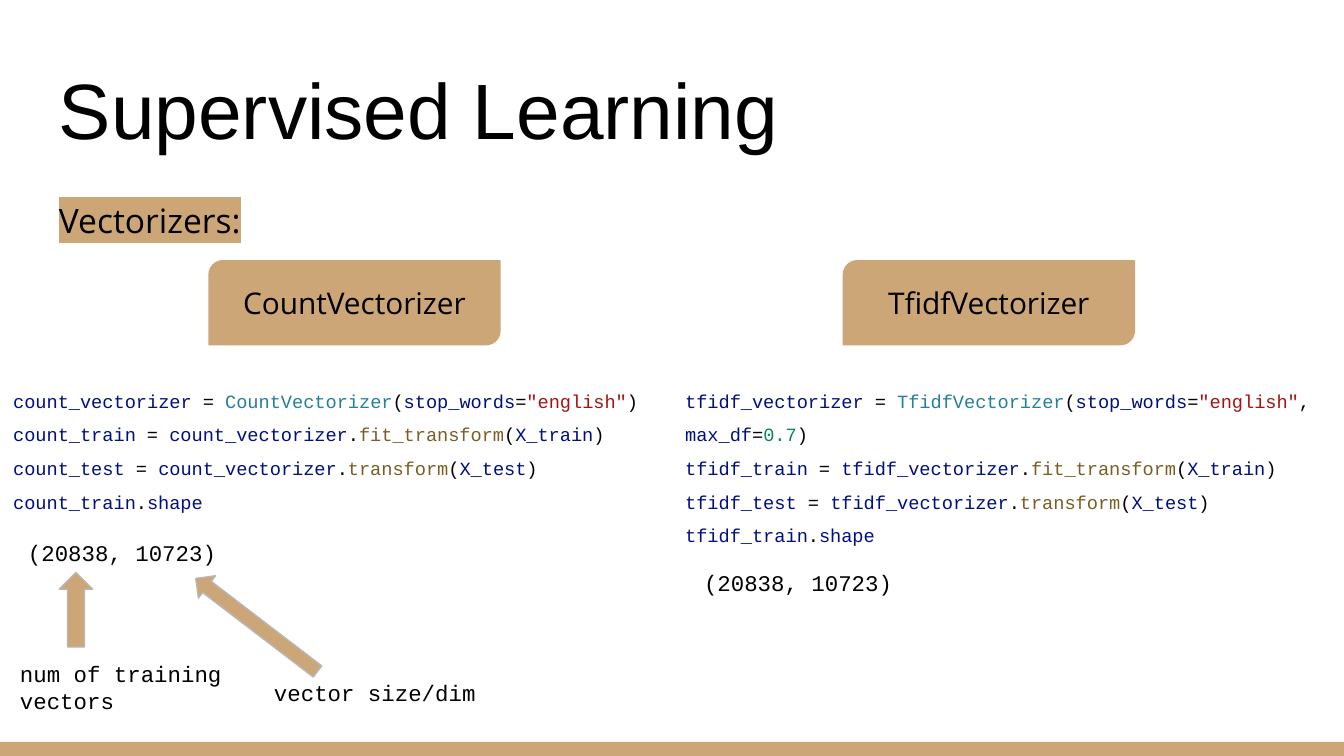
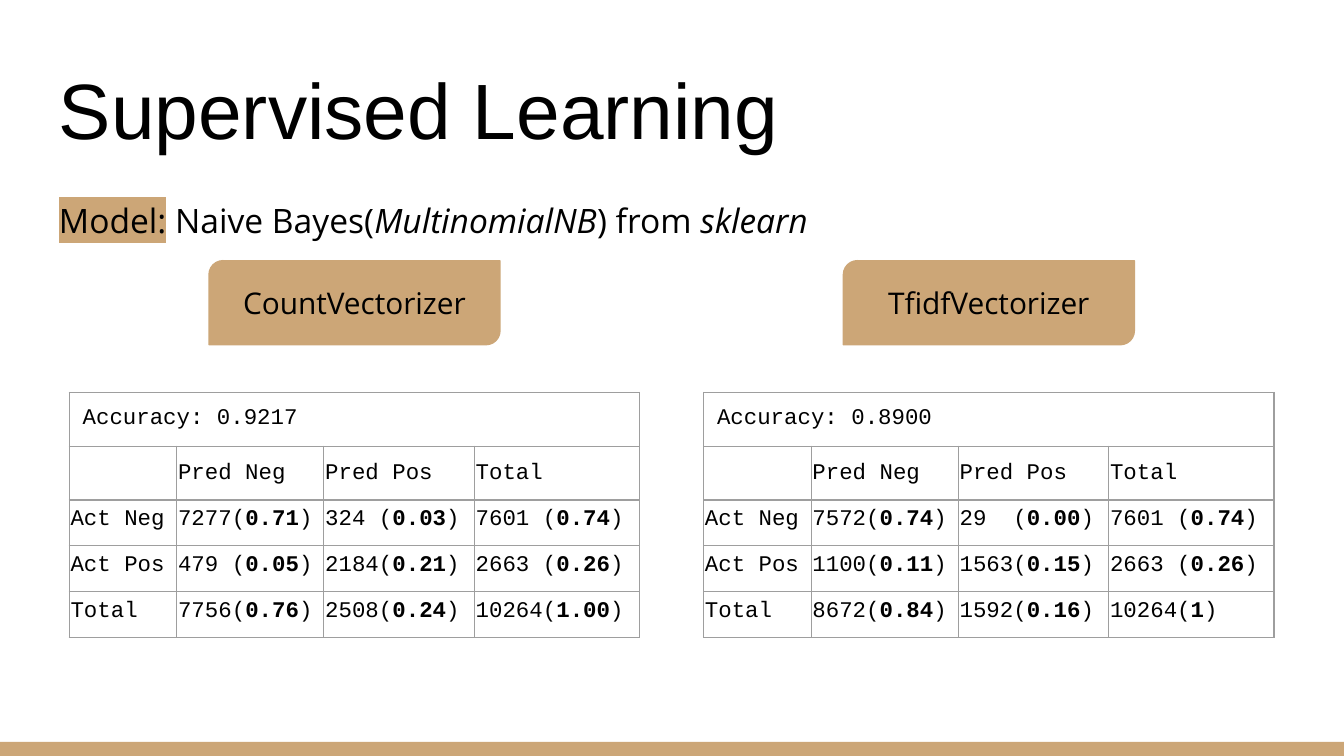
from lxml.etree import SubElement
from pptx import Presentation
from pptx.dml.color import RGBColor
from pptx.enum.shapes import MSO_SHAPE
from pptx.enum.text import MSO_ANCHOR, PP_ALIGN
from pptx.oxml.ns import qn
from pptx.util import Pt

PX = 4572

TAN = RGBColor(0xCC, 0xA6, 0x77)
BLACK = RGBColor(0x00, 0x00, 0x00)
ARROW_LINE = RGBColor(0xB7, 0xB7, 0xB7)
GRID = RGBColor(0x9E, 0x9E, 0x9E)
NAME = RGBColor(0x00, 0x10, 0x80)
CLASS = RGBColor(0x26, 0x7F, 0x99)
STRING = RGBColor(0xA3, 0x15, 0x15)
METHOD = RGBColor(0x79, 0x5E, 0x26)
NUMBER = RGBColor(0x09, 0x86, 0x58)

SANS = "Open Sans"
MONO = "Courier New"


def write(frame, lines, font, size, spacing=1.0):
    for index, spans in enumerate(lines):
        para = frame.paragraphs[0] if index == 0 else frame.add_paragraph()
        para.line_spacing = spacing
        para.font.name = font
        para.font.size = Pt(size)
        para.font.color.rgb = BLACK
        for text, style in spans:
            span = para.add_run()
            span.text = text
            if isinstance(style, RGBColor):
                span.font.color.rgb = style
            elif style == "bold":
                span.font.bold = True
            elif style == "italic":
                span.font.italic = True
            elif style == "highlight":
                mark = SubElement(span._r.get_or_add_rPr(), qn("a:highlight"))
                SubElement(mark, qn("a:srgbClr"), val=str(TAN))
        if not spans:
            ending = SubElement(para._p, qn("a:endParaRPr"), sz=str(size * 100))
            SubElement(ending, qn("a:latin"), typeface=font)


def add_text(page, place, lines, font, size, spacing=1.0):
    box = page.shapes.add_textbox(*[length * PX for length in place])
    frame = box.text_frame
    frame.word_wrap = True
    frame.margin_left = frame.margin_right = 20 * PX
    frame.margin_top = frame.margin_bottom = 20 * PX
    write(frame, lines, font, size, spacing)
    return frame


deck = Presentation()
deck.slide_width = 2000 * PX
deck.slide_height = 1125 * PX

subtitles = [
    [("Vectorizers:", "highlight")],
    [("Model:", "highlight"), (" Naive Bayes(", None), ("MultinomialNB", "italic"),
     (") from ", None), ("sklearn", "italic")],
]
pages = []
for subtitle in subtitles:
    page = deck.slides.add_slide(deck.slide_layouts[6])
    pages.append(page)
    band = page.shapes.add_shape(MSO_SHAPE.RECTANGLE, 0, 1104 * PX, 2000 * PX, 21 * PX)
    band.shadow.inherit = False
    band.fill.solid()
    band.fill.fore_color.rgb = TAN
    band.line.fill.background()

    title = add_text(page, (68, 69, 1864, 182), [[("Supervised Learning", None)]], "Arial", 42)
    title.vertical_anchor = MSO_ANCHOR.BOTTOM
    add_text(page, (68, 268, 1242, 102), [subtitle], SANS, 18, 1.15)

    for left, label in [(311, "CountVectorizer"), (1255, "TfidfVectorizer")]:
        tag = page.shapes.add_shape(
            MSO_SHAPE.ROUND_2_DIAG_RECTANGLE, left * PX, 388 * PX, 433 * PX, 125 * PX)
        tag.shadow.inherit = False
        tag.fill.solid()
        tag.fill.fore_color.rgb = TAN
        tag.line.color.rgb = TAN
        tag.line.width = Pt(0.75)
        tag.text_frame.vertical_anchor = MSO_ANCHOR.MIDDLE
        write(tag.text_frame, [[(label, None)]], SANS, 16)
        tag.text_frame.paragraphs[0].alignment = PP_ALIGN.CENTER

code_page, result_page = pages

max_df = [(", ", None), ("max_df", NAME), ("=", None), ("0.7", NUMBER)]
vectorizers = [
    ("count", "CountVectorizer", [], (0, 543, 1006, 200), (22, 782, 332, 82)),
    ("tfidf", "TfidfVectorizer", max_df, (1000, 543, 1006, 270), (1028, 827, 332, 82)),
]
for prefix, class_name, options, code_place, shape_place in vectorizers:
    lines = [[(f"{prefix}_vectorizer", NAME), (" = ", None), (class_name, CLASS), ("(", None),
              ("stop_words", NAME), ("=", None), ('"english"', STRING), *options, (")", None)]]
    for part, method in [("train", "fit_transform"), ("test", "transform")]:
        lines.append([(f"{prefix}_{part}", NAME), (" = ", None), (f"{prefix}_vectorizer", NAME),
                      (".", None), (method, METHOD), ("(", None), (f"X_{part}", NAME), (")", None)])
    lines.append([(f"{prefix}_train", NAME), (".", None), ("shape", NAME)])
    add_text(code_page, code_place, lines, MONO, 10, 1.5)
    add_text(code_page, shape_place, [[("(20838, 10723)", None)]], MONO, 12)

notes = [
    ("num of training vectors", (10, 963, 358, 124), (88, 852, 50, 111), 0),
    ("vector size/dim", (388, 990, 344, 70), (361, 816, 42, 228), 307.4),
]
for note, note_place, arrow_place, angle in notes:
    add_text(code_page, note_place, [[(note, None)]], MONO, 12)
    arrow = code_page.shapes.add_shape(
        MSO_SHAPE.UP_ARROW, *[length * PX for length in arrow_place])
    arrow.rotation = angle
    arrow.shadow.inherit = False
    arrow.fill.solid()
    arrow.fill.fore_color.rgb = TAN
    arrow.line.color.rgb = ARROW_LINE
    arrow.line.width = Pt(0.75)

column_widths = [160, 219, 224, 246]
row_heights = [60, 58, 58, 58, 58]
header = ["", "Pred Neg", "Pred Pos", "Total"]
results = [
    (103, [
        ["Accuracy: 0.9217", "", "", ""],
        header,
        ["Act Neg", "7277(|0.71|)", "324 (|0.03|)", "7601 (|0.74|)"],
        ["Act Pos", "479 (|0.05|)", "2184(|0.21|)", "2663 (|0.26|)"],
        ["Total", "7756(|0.76|)", "2508(|0.24|)", "10264(|1.00|)"],
    ]),
    (1047, [
        ["Accuracy: 0.8900", "", "", ""],
        header,
        ["Act Neg", "7572(|0.74|)", "29  (|0.00|)", "7601 (|0.74|)"],
        ["Act Pos", "1100(|0.11|)", "1563(|0.15|)", "2663 (|0.26|)"],
        ["Total", "8672(|0.84|)", "1592(|0.16|)", "10264(|1|)"],
    ]),
]
for left, rows in results:
    table = result_page.shapes.add_table(
        len(rows), len(header), left * PX, 584 * PX,
        sum(column_widths) * PX, sum(row_heights) * PX).table
    table.first_row = False
    table.horz_banding = False
    for column, width in zip(table.columns, column_widths):
        column.width = width * PX
    for row, height in zip(table.rows, row_heights):
        row.height = height * PX
    table.cell(0, 0).merge(table.cell(0, 3))
    for row_index, row in enumerate(rows):
        for column_index, text in enumerate(row):
            cell = table.cell(row_index, column_index)
            roomy = row_index == 0 or not text
            cell.margin_left = cell.margin_right = cell.margin_top = (20 if roomy else 2) * PX
            cell.margin_bottom = 20 * PX
            cell.vertical_anchor = MSO_ANCHOR.TOP if roomy else MSO_ANCHOR.BOTTOM
            for side in ("lnL", "lnR", "lnT", "lnB"):
                border = SubElement(cell._tc.get_or_add_tcPr(), qn(f"a:{side}"), w=str(Pt(0.75)))
                fill = SubElement(border, qn("a:solidFill"))
                SubElement(fill, qn("a:srgbClr"), val=str(GRID))
            cell.fill.background()
            spans = [(piece, "bold" if index % 2 else None)
                     for index, piece in enumerate(text.split("|")) if piece]
            write(cell.text_frame, [spans], MONO, 12, 1.0 if roomy else 1.15)

deck.save("out.pptx")
